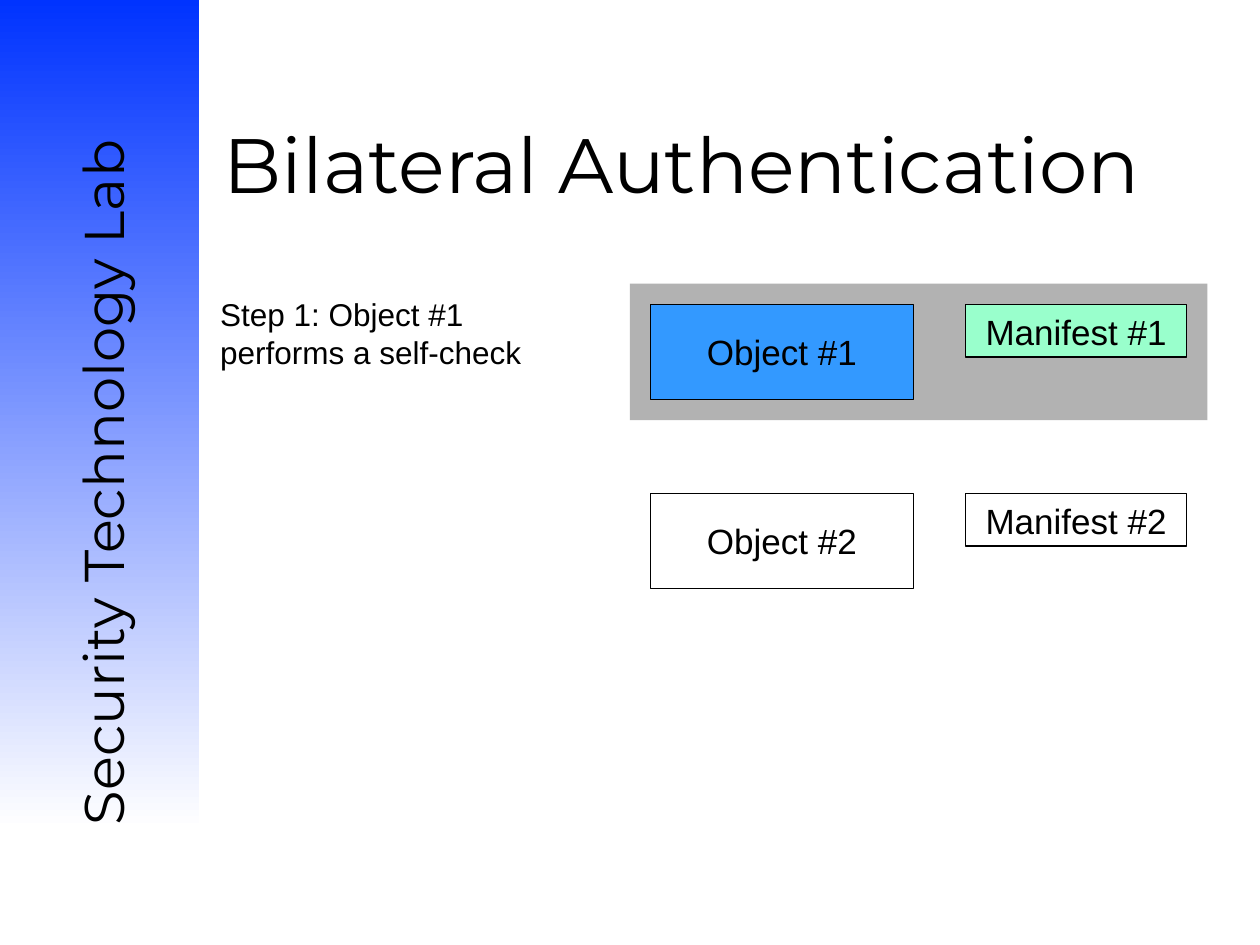
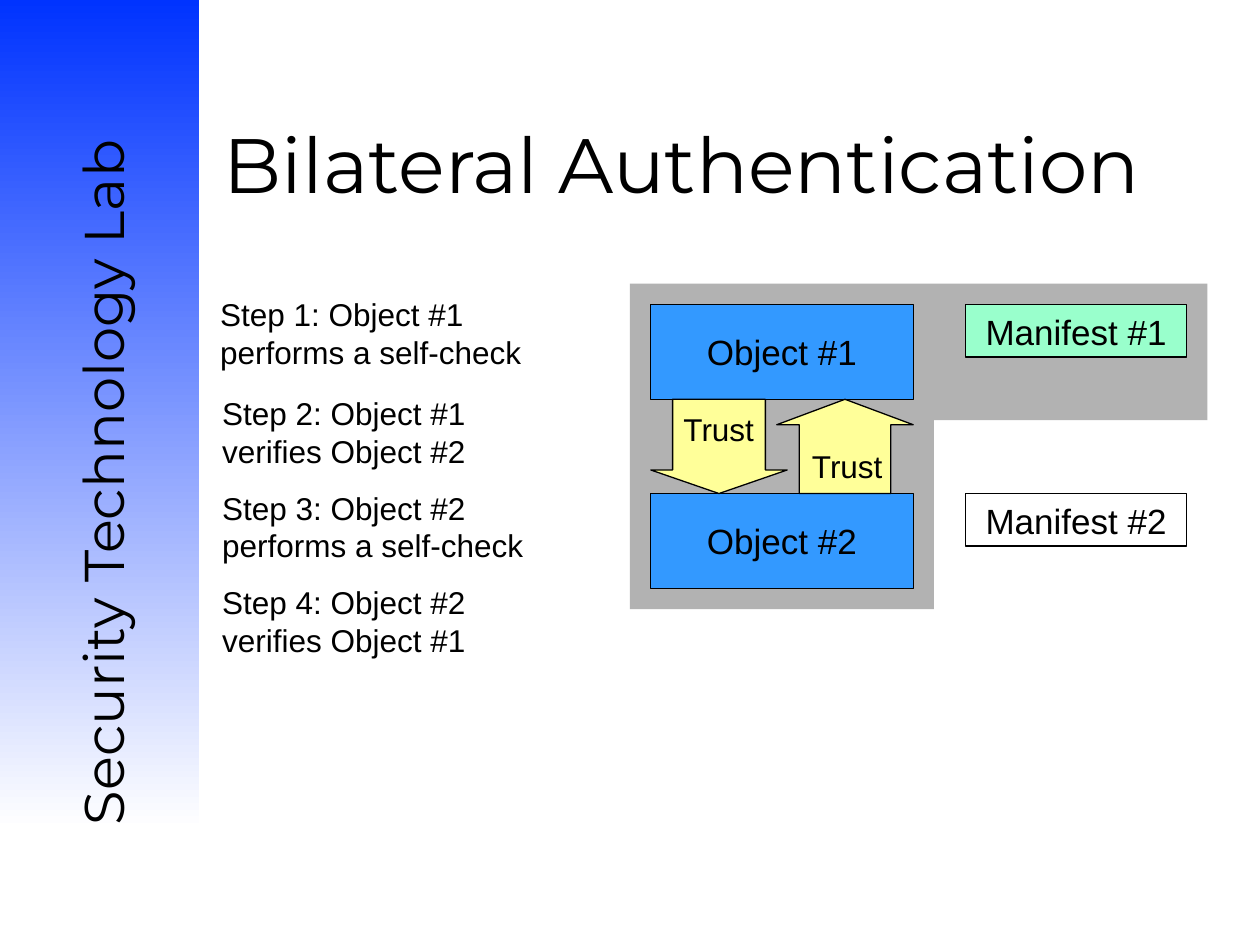
from dataclasses import dataclass

from pptx import Presentation
from pptx.dml.color import RGBColor
from pptx.enum.shapes import MSO_SHAPE
from pptx.enum.text import MSO_ANCHOR, MSO_AUTO_SIZE, PP_ALIGN
from pptx.util import Cm, Pt

RECTANGLE, DOWN_ARROW, UP_ARROW = MSO_SHAPE.RECTANGLE, MSO_SHAPE.DOWN_ARROW, MSO_SHAPE.UP_ARROW
TOP, MIDDLE = MSO_ANCHOR.TOP, MSO_ANCHOR.MIDDLE
LEFT, CENTER = PP_ALIGN.LEFT, PP_ALIGN.CENTER
NO_AUTOFIT = MSO_AUTO_SIZE.NONE
TITLE_ONLY = 5

# Content: the second slide completes the protocol begun on the first
TITLE = "Bilateral Authentication"
LAB_NAME = "Security Technology Lab"
STEPS = [
    "Step 1: Object #1 performs a self-check",
    "Step 2: Object #1 verifies Object #2",
    "Step 3: Object #2 performs a self-check",
    "Step 4: Object #2 verifies Object #1",
]
STAGES = [
    {"steps": 1, "checked_objects": 1, "trust": False},
    {"steps": 4, "checked_objects": 2, "trust": True},
]


@dataclass(frozen=True)
class Theme:
    heading_font: str = "Montserrat"
    body_font: str = "Arial"
    title_size: int = 44
    lab_size: int = 32
    box_size: int = 20
    note_size: int = 18
    text: str = "000000"
    paper: str = "FFFFFF"
    band: str = "0033FF"
    panel: str = "B2B2B2"
    checked: str = "3399FF"
    manifest: str = "99FFCC"
    trust: str = "FFFF99"


THEME = Theme()

# Geometry in centimetres: left, top, width, height
BAND = (0, 0, 4.02, 16.72)
LAB_LABEL = (-5.94, 8.05, 16.03, 1.63)
TITLE_BOX = (4.02, 1.69, 19.47, 3.18)
OBJECT_LEFT, OBJECT_WIDTH, OBJECT_HEIGHT = 13.12, 5.29, 1.91
MANIFEST_LEFT, MANIFEST_WIDTH, MANIFEST_HEIGHT = 19.47, 4.45, 1.06
FIRST_ROW, ROW_PITCH = 6.14, 3.81
MARGIN = 0.42
PANEL_HEIGHT = OBJECT_HEIGHT + 2 * MARGIN
ARROW_WIDTH, ARROW_HEIGHT = 2.75, ROW_PITCH - OBJECT_HEIGHT
TRUST_WIDTH, TRUST_HEIGHT = 1.96, 1.02
STEP_WIDTH, STEP_HEIGHT = 6.81, 1.78
STEP_TOP, STEP_PITCH = 7.82, 1.905


def color(value):
    return RGBColor.from_string(value)


def write(shape, text, size, font=THEME.body_font, align=LEFT, anchor=TOP, wrap=True):
    frame = shape.text_frame
    frame.text = text
    frame_format = {"word_wrap": wrap, "vertical_anchor": anchor, "auto_size": NO_AUTOFIT}
    for name, value in frame_format.items():
        setattr(frame, name, value)
    paragraph = frame.paragraphs[0]
    paragraph.alignment = align
    for name, value in {"name": font, "size": Pt(size)}.items():
        setattr(paragraph.font, name, value)
    paragraph.font.color.rgb = color(THEME.text)


def add_block(slide, box, fill=None, outlined=True, kind=RECTANGLE):
    shape = slide.shapes.add_shape(kind, *map(Cm, box))
    shape.shadow.inherit = False
    if fill:
        shape.fill.solid()
        shape.fill.fore_color.rgb = color(fill)
    else:
        shape.fill.background()
    if outlined:
        shape.line.color.rgb = color(THEME.text)
        shape.line.width = Pt(0.75)
    else:
        shape.line.fill.background()
    return shape


def add_label(slide, box, text, size, **text_format):
    label = slide.shapes.add_textbox(*map(Cm, box))
    write(label, text, size, **text_format)
    return label


# Shared frame: gradient band, rotated lab name, title
def add_frame(slide):
    band = add_block(slide, BAND, outlined=False)
    band.fill.gradient()
    band.fill.gradient_angle = 270
    for stop, value in zip(band.fill.gradient_stops, (THEME.band, THEME.paper)):
        stop.color.rgb = color(value)
    lab = add_label(slide, LAB_LABEL, LAB_NAME, THEME.lab_size, font=THEME.heading_font)
    lab.rotation = 270

    title = slide.shapes.title
    for name, value in zip(("left", "top", "width", "height"), TITLE_BOX):
        setattr(title, name, Cm(value))
    write(title, TITLE, THEME.title_size, font=THEME.heading_font, align=CENTER, anchor=MIDDLE)


# Grey area behind the parts in use
def add_panels(slide, with_lower):
    left, top = OBJECT_LEFT - MARGIN, FIRST_ROW - MARGIN
    full_width = MANIFEST_LEFT + MANIFEST_WIDTH + MARGIN - left
    panels = [(left, top, full_width, PANEL_HEIGHT)]
    if with_lower:
        panels.append((left, top + PANEL_HEIGHT, OBJECT_WIDTH + 2 * MARGIN, ROW_PITCH))
    for box in panels:
        add_block(slide, box, THEME.panel, outlined=False)


def add_objects(slide, checked_objects):
    for row in range(2):
        top = FIRST_ROW + row * ROW_PITCH
        object_fill = THEME.checked if row < checked_objects else None
        manifest_fill = THEME.manifest if row == 0 else None
        parts = [
            ("Object", (OBJECT_LEFT, top, OBJECT_WIDTH, OBJECT_HEIGHT), object_fill, MIDDLE),
            ("Manifest", (MANIFEST_LEFT, top, MANIFEST_WIDTH, MANIFEST_HEIGHT), manifest_fill, TOP),
        ]
        for name, box, fill, anchor in parts:
            block = add_block(slide, box, fill)
            write(block, f"{name} #{row + 1}", THEME.box_size,
                  align=CENTER, anchor=anchor, wrap=False)


def add_steps(slide, count):
    for index, step in enumerate(STEPS[:count]):
        # The first step sits slightly apart from the evenly spaced others
        left, top = (4.23, STEP_TOP + (index - 1) * STEP_PITCH) if index else (4.19, 5.82)
        add_label(slide, (left, top, STEP_WIDTH, STEP_HEIGHT), step, THEME.note_size)


def add_trust(slide):
    top = FIRST_ROW + OBJECT_HEIGHT
    right_arrow = OBJECT_LEFT + OBJECT_WIDTH - ARROW_WIDTH
    arrows = [
        (DOWN_ARROW, OBJECT_LEFT, (0.68, 0.25), (13.51, 8.15)),
        (UP_ARROW, right_arrow, (0.67, 0.27), (16.1, 8.89)),
    ]
    for kind, left, adjustments, label_corner in arrows:
        arrow = add_block(slide, (left, top, ARROW_WIDTH, ARROW_HEIGHT), THEME.trust, kind=kind)
        for index, value in enumerate(adjustments):
            arrow.adjustments[index] = value
        add_label(slide, (*label_corner, TRUST_WIDTH, TRUST_HEIGHT), "Trust",
                  THEME.note_size, align=CENTER, wrap=False)


def main():
    presentation = Presentation()
    presentation.slide_width, presentation.slide_height = Cm(25.4), Cm(19.05)
    for stage in STAGES:
        slide = presentation.slides.add_slide(presentation.slide_layouts[TITLE_ONLY])
        add_frame(slide)
        add_panels(slide, stage["trust"])
        add_objects(slide, stage["checked_objects"])
        add_steps(slide, stage["steps"])
        if stage["trust"]:
            add_trust(slide)
    presentation.save("out.pptx")


if __name__ == "__main__":
    main()
